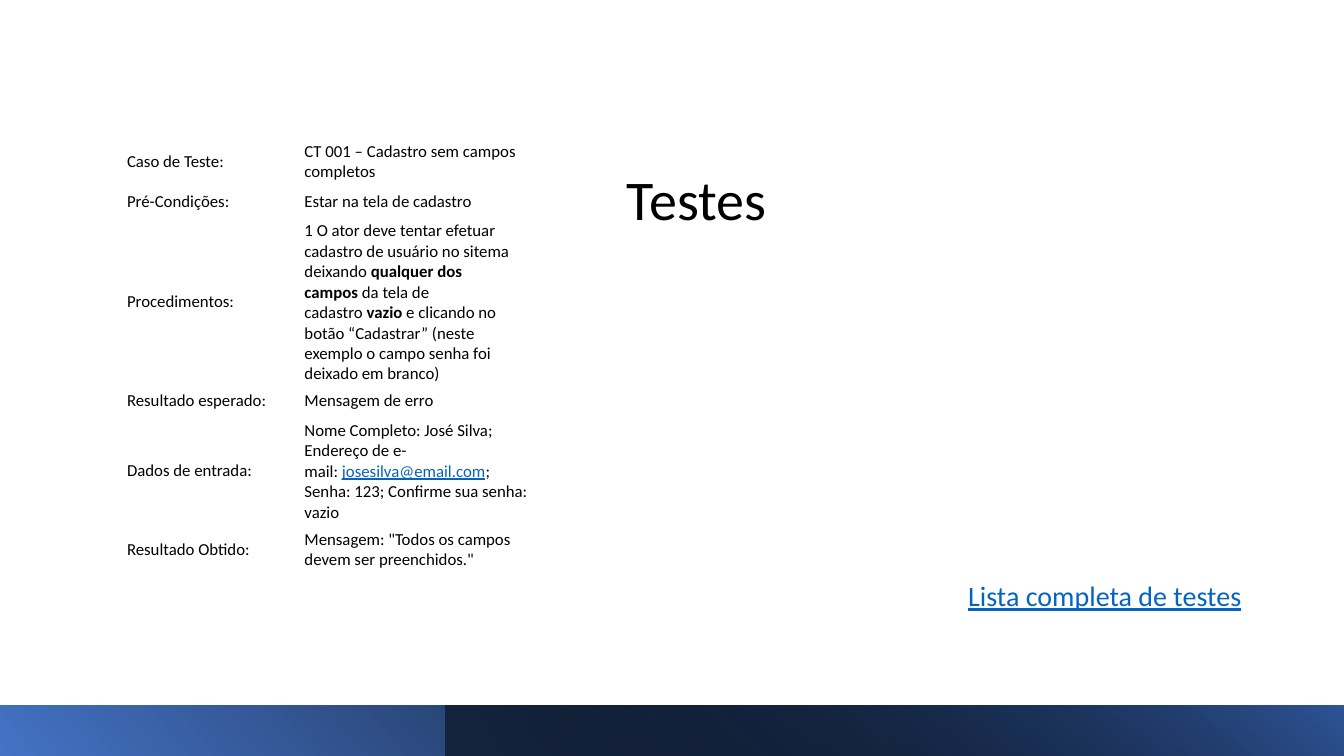
from lxml import etree
from pptx import Presentation
from pptx.dml.color import RGBColor
from pptx.enum.shapes import MSO_SHAPE
from pptx.enum.text import MSO_ANCHOR, PP_ALIGN
from pptx.oxml.ns import qn
from pptx.util import Inches, Pt

COLORS = {
    "text": "000000",
    "link": "0563C1",
    "cell": "FFFFFF",
    "bright_blue": "4472C4",
    "deep_blue": "2F5597",
    "black": "000000",
}


class SlideBuilder:
    font = "Calibri"

    def __init__(self, slide):
        self.slide = slide

    def add_runs(self, paragraph, runs, size):
        for text, style in runs:
            run = paragraph.add_run()
            run.text = text
            run.font.name = self.font
            run.font.size = Pt(size)
            run.font.bold = style == "bold"
            run.font.underline = style == "link"
            color = COLORS["link" if style == "link" else "text"]
            run.font.color.rgb = RGBColor.from_string(color)

    def text(self, box, content, size, style="plain", align=PP_ALIGN.LEFT):
        frame = self.slide.shapes.add_textbox(*map(Inches, box)).text_frame
        frame.word_wrap = True
        frame.vertical_anchor = MSO_ANCHOR.BOTTOM
        paragraph = frame.paragraphs[0]
        paragraph.alignment = align
        paragraph.line_spacing = 0.9
        self.add_runs(paragraph, [(content, style)], size)

    def gradient_bar(self, box, stops, angle, rotation=0):
        bar = self.slide.shapes.add_shape(MSO_SHAPE.RECTANGLE, *map(Inches, box))
        bar.shadow.inherit = False
        bar.line.fill.background()
        bar.rotation = rotation
        properties = bar._element.spPr
        properties.find(qn("a:xfrm")).set("flipH", "1")
        gradient = etree.Element(qn("a:gradFill"), rotWithShape="1")
        stop_list = etree.SubElement(gradient, qn("a:gsLst"))
        for position, color, opacity in stops:
            stop = etree.SubElement(stop_list, qn("a:gs"), pos=str(position * 1000))
            tint = etree.SubElement(stop, qn("a:srgbClr"), val=COLORS[color])
            if opacity < 100:
                etree.SubElement(tint, qn("a:alpha"), val=str(opacity * 1000))
        etree.SubElement(gradient, qn("a:lin"), ang=str(angle * 60000), scaled="0")
        properties.find(qn("a:prstGeom")).addnext(gradient)

    def table(self, left, top, widths, heights, rows, size):
        table = self.slide.shapes.add_table(
            len(rows), len(widths), Inches(left), Inches(top),
            Inches(sum(widths)), Inches(sum(heights))).table
        table.first_row = False
        table.horz_banding = False
        for column, width in zip(table.columns, widths):
            column.width = Inches(width)
        for row, height, contents in zip(table.rows, heights, rows):
            row.height = Inches(height)
            for cell, runs in zip(row.cells, contents):
                cell.fill.solid()
                cell.fill.fore_color.rgb = RGBColor.from_string(COLORS["cell"])
                cell.vertical_anchor = MSO_ANCHOR.MIDDLE
                cell.margin_left = cell.margin_right = Inches(0.09)
                cell.margin_top = cell.margin_bottom = Inches(0.04)
                self.add_runs(cell.text_frame.paragraphs[0], runs, size)


def plain(text):
    return [(text, "plain")]


TEST_CASE = [
    ("Caso de Teste:", plain("CT 001 – Cadastro sem campos completos")),
    ("Pré-Condições:", plain("Estar na tela de cadastro")),
    ("Procedimentos:", [
        ("1 O ator deve tentar efetuar cadastro de usuário no sitema deixando\u00a0", "plain"),
        ("qualquer dos campos", "bold"),
        ("\u00a0da tela de cadastro\u00a0", "plain"),
        ("vazio", "bold"),
        ("\u00a0e clicando no botão “Cadastrar” (neste exemplo o campo senha "
         "foi deixado em branco)", "plain"),
    ]),
    ("Resultado esperado:", plain("Mensagem de erro")),
    ("Dados de entrada:", [
        ("Nome Completo: José Silva; Endereço de e-mail:\u00a0", "plain"),
        ("josesilva@email.com", "link"),
        ("; Senha: 123; Confirme sua senha: vazio", "plain"),
    ]),
    ("Resultado Obtido:", plain('Mensagem: "Todos os campos devem ser preenchidos."')),
]

presentation = Presentation()
presentation.slide_width = Inches(13.33)
presentation.slide_height = Inches(7.5)
builder = SlideBuilder(presentation.slides.add_slide(presentation.slide_layouts[6]))

builder.text((6.12, 0.54, 6.29, 1.82), "Testes", 40)
builder.text((6.12, 2.63, 6.29, 3.5), "Lista completa de testes", 20, "link", PP_ALIGN.RIGHT)
builder.gradient_bar((0, 7, 13.33, 0.5),
                     [(0, "bright_blue", 100), (90, "black", 100)], 40, rotation=180)
builder.gradient_bar((4.42, 7, 8.91, 0.5),
                     [(0, "black", 50), (100, "deep_blue", 100)], 230)
builder.table(1.17, 1.36, [1.76, 2.48], [0.49, 0.3, 1.65, 0.3, 1.07, 0.49],
              [(plain(label), runs) for label, runs in TEST_CASE], 12)

presentation.save("out.pptx")
